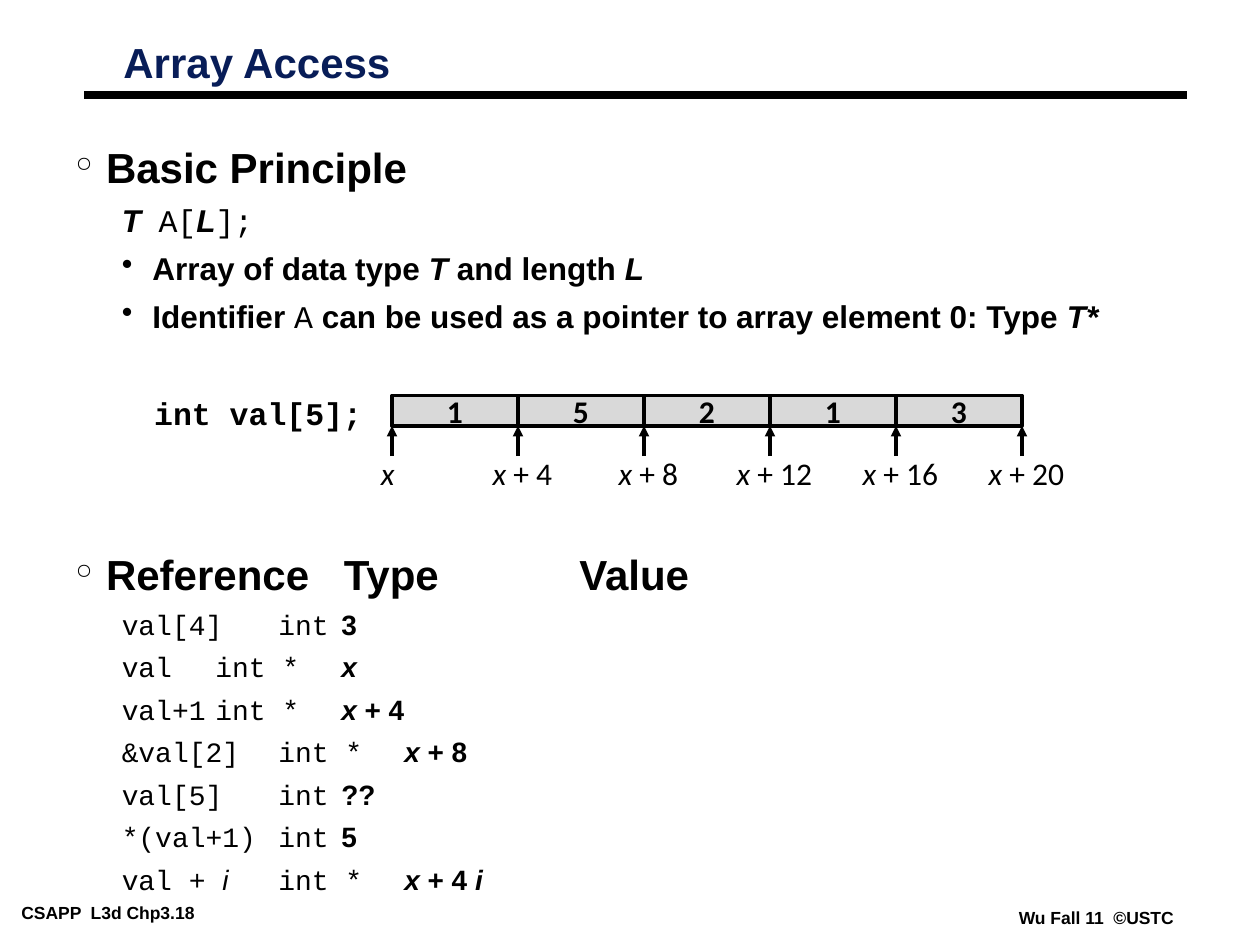
from lxml import etree
from pptx import Presentation
from pptx.dml.color import RGBColor
from pptx.enum.shapes import MSO_CONNECTOR, MSO_SHAPE
from pptx.enum.text import MSO_ANCHOR, PP_ALIGN
from pptx.oxml.ns import qn
from pptx.util import Pt

LEFT, CENTER, RIGHT = PP_ALIGN.LEFT, PP_ALIGN.CENTER, PP_ALIGN.RIGHT
MIDDLE = MSO_ANCHOR.MIDDLE
RECTANGLE = MSO_SHAPE.RECTANGLE
STRAIGHT = MSO_CONNECTOR.STRAIGHT
COLORS = {"ink": "000000", "title": "081D58", "cell": "D9D9D9"}
STYLES = {
    "bold": ("Arial", True, False),
    "bold italic": ("Arial", True, True),
    "italic": ("Arial", False, True),
    "code": ("Courier New", False, False),
    "bold code": ("Courier New", True, False),
    "number": ("Calibri", True, False),
    "label": ("Calibri", False, False),
    "variable": ("Calibri", False, True),
}
PRINCIPLES = [
    ("", [("T  ", "bold italic"), ("A[", "code"), ("L", "bold italic"), ("];", "code")]),
    ("•", [("Array of data type ", "bold"), ("T", "bold italic"),
           (" and length ", "bold"), ("L", "bold italic")]),
    ("•", [("Identifier ", "bold"), ("A", "code"),
           (" can be used as a pointer to array element 0: Type ", "bold"),
           ("T*", "bold italic")]),
]
REFERENCES = [
    [("val[4]\tint\t", "code"), ("3", "bold")],
    [("val\tint *\t", "code"), ("x", "bold italic")],
    [("val+1\tint *\t", "code"), ("x", "bold italic"), (" + 4", "bold")],
    [("&val[2]\tint *\t", "code"), ("x", "bold italic"), (" + 8", "bold")],
    [("val[5]\tint\t", "code"), ("??", "bold")],
    [("*(val+1)\tint\t", "code"), ("5", "bold")],
    [("val + ", "code"), ("i\t", "italic"), ("int *\t", "code"),
     ("x ", "bold italic"), ("+ 4", "bold"), (" i", "bold italic")],
]
VALUES = [1, 5, 2, 1, 3]
INT_SIZE = 4


def color(name):
    """Return a named colour."""
    return RGBColor.from_string(COLORS[name])


def write_spans(para, spans, size, ink="ink"):
    """Add styled runs to a paragraph."""
    for text, style in spans:
        span = para.add_run()
        span.text = text
        span.font.name, span.font.bold, span.font.italic = STYLES[style]
        span.font.size = Pt(size)
        span.font.color.rgb = color(ink)


def add_text(page, box, spans, size, align=LEFT, inset=(7.2, 3.6)):
    """Add a one-paragraph text box."""
    shape = page.shapes.add_textbox(*map(Pt, box))
    frame = shape.text_frame
    frame.word_wrap = True
    frame.margin_left = frame.margin_right = Pt(inset[0])
    frame.margin_top = frame.margin_bottom = Pt(inset[1])
    frame.paragraphs[0].alignment = align
    write_spans(frame.paragraphs[0], spans, size)


def add_line(page, start, end, width):
    """Add a plain black line and return it."""
    line = page.shapes.add_connector(STRAIGHT, *map(Pt, (*start, *end)))
    line.line.color.rgb = color("ink")
    line.line.width = Pt(width)
    etree.SubElement(line._element.spPr, qn("a:effectLst"))
    return line


def format_list(para, bullet, margin, indent, tabs):
    """Set the indent, bullet and tab stops of a paragraph."""
    properties = para._p.get_or_add_pPr()
    properties.set("marL", str(Pt(margin)))
    properties.set("indent", str(Pt(indent)))
    if bullet:
        tint = etree.SubElement(properties, qn("a:buClr"))
        etree.SubElement(tint, qn("a:srgbClr"), val=COLORS["ink"])
        etree.SubElement(properties, qn("a:buChar"), char=bullet)
    else:
        etree.SubElement(properties, qn("a:buNone"))
    if tabs:
        stops = etree.SubElement(properties, qn("a:tabLst"))
        for stop in tabs:
            etree.SubElement(stops, qn("a:tab"), pos=str(Pt(stop)), algn="l")


def add_section(page, box, heading, items, size, gap, heading_tabs=(), item_tabs=()):
    """Add a heading with its indented items."""
    frame = page.shapes.add_textbox(*map(Pt, box)).text_frame
    frame.word_wrap = True
    para = frame.paragraphs[0]
    format_list(para, "°", 17.5, -17.5, heading_tabs)
    para.line_spacing = 0.75
    write_spans(para, [(heading, "bold")], 24)
    for bullet, spans in items:
        para = frame.add_paragraph()
        para.level = 1
        format_list(para, bullet, 44, -17.5, item_tabs)
        para.line_spacing = 0.85
        para.space_before = Pt(gap)
        write_spans(para, spans, size)


def add_heading(page, box):
    """Place the title and the rule under it."""
    left, top, width, height = box
    title = page.shapes.title
    title.left, title.top, title.width, title.height = map(Pt, box)
    frame = title.text_frame
    frame.vertical_anchor = MIDDLE
    para = frame.paragraphs[0]
    para.alignment = LEFT
    para.line_spacing = 0.87
    write_spans(para, [("Array Access", "bold")], 24, "title")
    rule = top + height + 0.7
    add_line(page, (left - 15, rule), (left + 615, rule), 4.5)


def add_array(page, box):
    """Draw the array cells with an address arrow at each boundary."""
    left, top, width, height = box
    step = width / len(VALUES)
    add_text(page, (left - 154, top - 4.3, 144, 28.8),
             [("int val[5];", "bold code")], 18, RIGHT)
    for index, value in enumerate(VALUES):
        cell = page.shapes.add_shape(
            RECTANGLE, *map(Pt, (left + index * step, top, step, height)))
        cell.shadow.inherit = False
        cell.fill.solid()
        cell.fill.fore_color.rgb = color("cell")
        cell.line.color.rgb = color("ink")
        cell.line.width = Pt(2)
        frame = cell.text_frame
        frame.word_wrap = False
        frame.margin_top = frame.margin_bottom = 0
        frame.vertical_anchor = MIDDLE
        frame.paragraphs[0].alignment = CENTER
        write_spans(frame.paragraphs[0], [(str(value), "number")], 18)
    for index in range(len(VALUES) + 1):
        edge = left + index * step
        arrow = add_line(page, (edge, top + 34.5), (edge, top + height), 2)
        etree.SubElement(arrow.line._get_or_add_ln(), qn("a:tailEnd"), type="triangle")
        spans, shift = [("x", "variable")], -2.5
        if index:
            spans = [("x ", "variable"), (f"+ {index * INT_SIZE}", "label")]
            shift = 2.5
        add_text(page, (edge - 39 + shift, top + 30, 78, 28.8), spans, 18, CENTER)


def add_footer(page, box):
    """Place the course mark at the left and the author at the right."""
    left, top, width, height = box
    inset = (5, 2.2)
    add_text(page, (left, top, 146, height),
             [("CSAPP  L3d Chp3.18", "bold")], 10, inset=inset)
    add_text(page, (left + width - 110, top + 3, 110, height),
             [("Wu Fall 11  ©USTC", "bold")], 10, inset=inset)


def main():
    """Build the slide and save it."""
    deck = Presentation()
    deck.slide_width, deck.slide_height = Pt(720), Pt(540)
    page = deck.slides.add_slide(deck.slide_layouts[5])
    add_heading(page, (63.3, 21, 376, 32.4))
    add_section(page, (36, 84.2, 635, 115), "Basic Principle", PRINCIPLES, 18, 9)
    add_array(page, (224, 226.1, 360, 17.3))
    add_section(page, (36, 316.8, 635, 217), "Reference\tType\tValue",
                [("", spans) for spans in REFERENCES], 16, 8, (153.4, 288), (116, 188))
    add_footer(page, (7.2, 513.3, 680, 16))
    deck.save("out.pptx")


if __name__ == "__main__":
    main()
